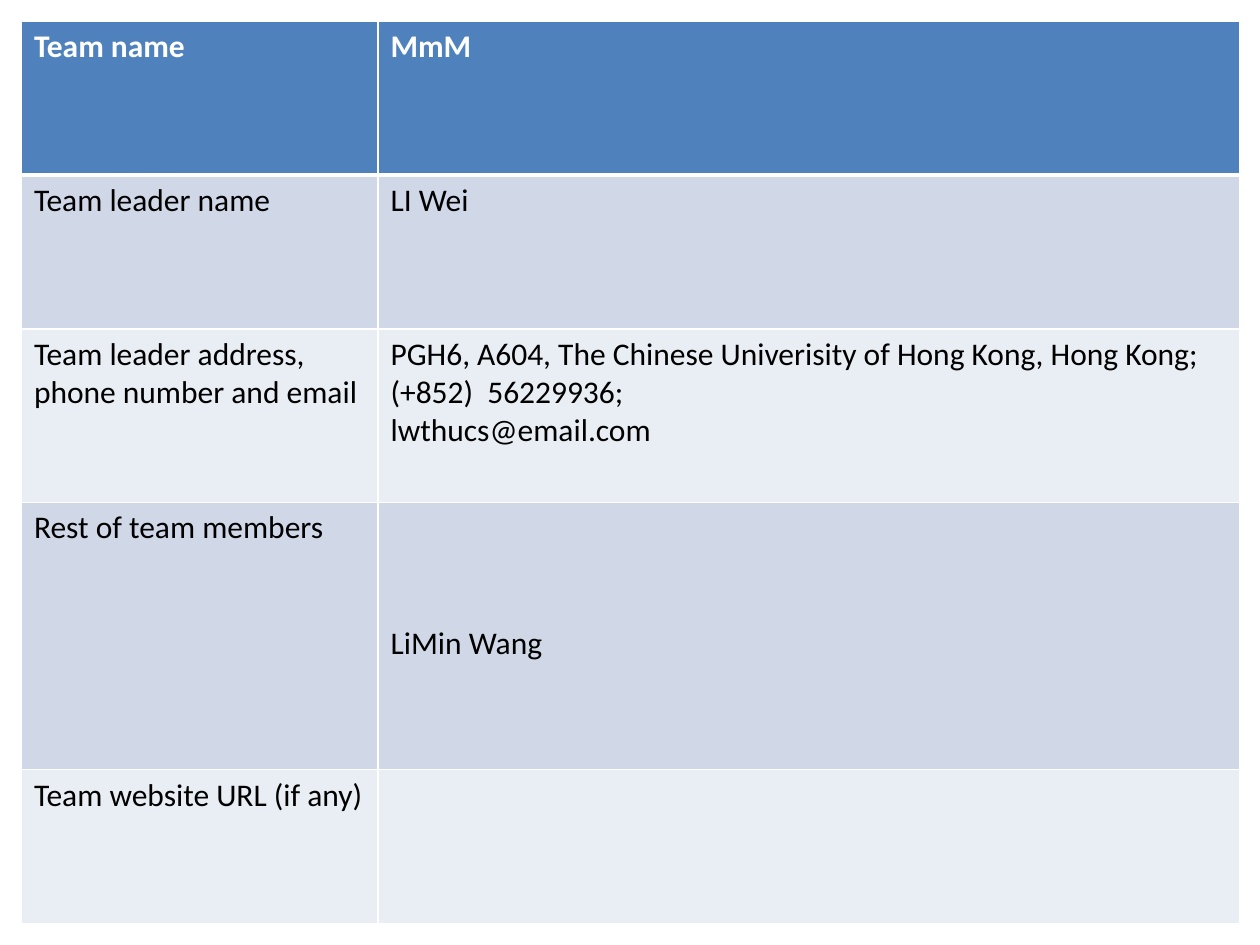
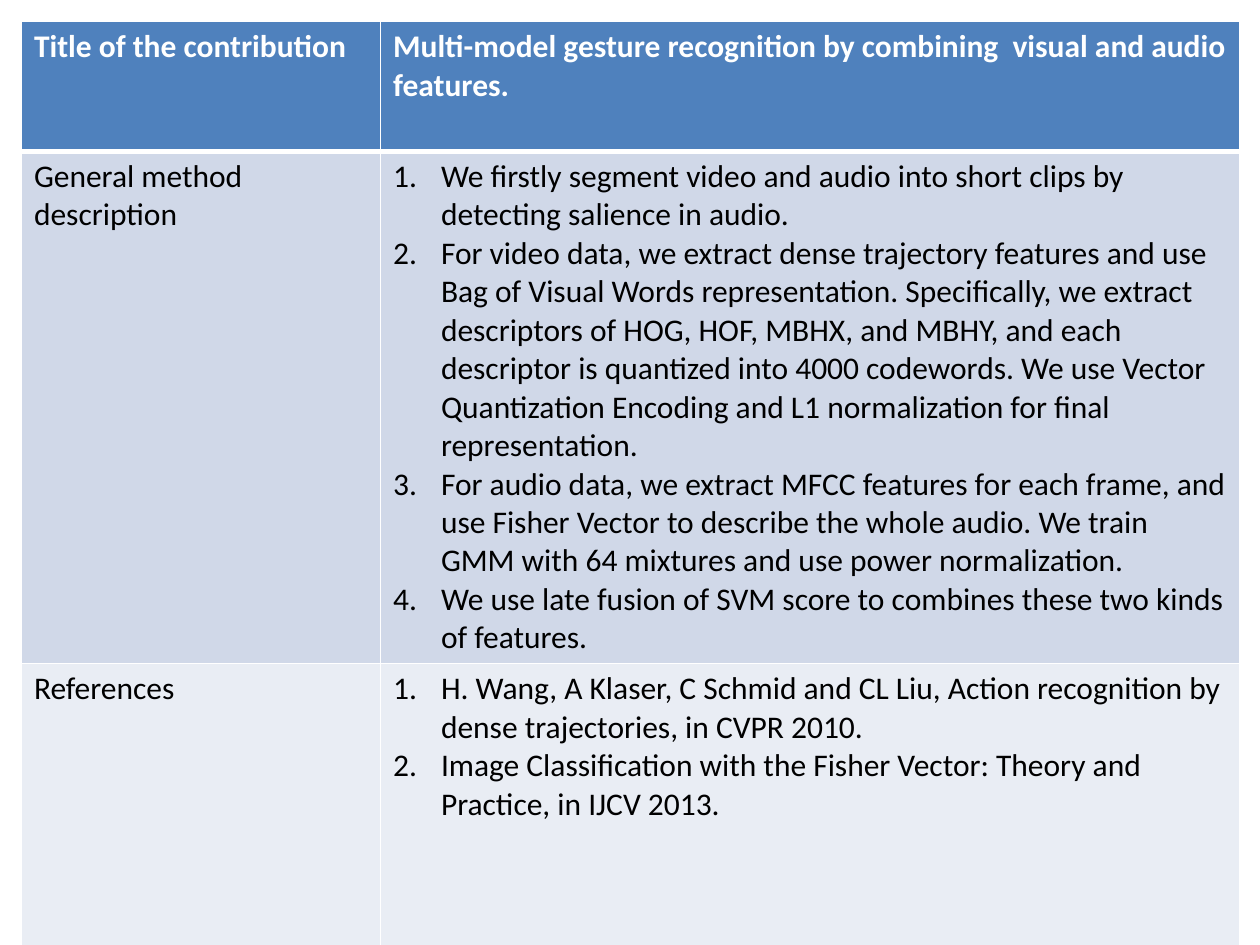
from lxml import etree
from pptx import Presentation
from pptx.dml.color import RGBColor
from pptx.oxml.ns import qn
from pptx.util import Inches, Pt

COLORS = {
    "header": "4F81BD",
    "odd_row": "D0D8E8",
    "even_row": "E9EDF4",
    "header_text": "FFFFFF",
    "body_text": "000000",
    "grid": "FFFFFF",
}
FONT = "Calibri"
TEXT_SIZE = 18
MARGIN = 0.17
TABLE_WIDTH = 9.67
NUMBER_INDENT = 0.38
MEMBERS_TOP = 0.97

TEAM = [
    ("Team name", ["MmM"]),
    ("Team leader name", ["LI Wei"]),
    ("Team leader address, phone number and email", [
        "PGH6, A604, The Chinese Univerisity of Hong Kong, Hong Kong;",
        "(+852)  56229936;",
        "lwthucs@email.com",
    ]),
    ("Rest of team members", ["LiMin Wang"]),
    ("Team website URL (if any)", []),
]

CONTRIBUTION = [
    ("Title of the contribution", [
        "Multi-model gesture recognition by combining  visual and audio features.",
    ]),
    ("General method description", [
        "We firstly segment video and audio into short clips by detecting "
        "salience in audio.",
        "For video data, we extract dense trajectory features and use Bag of "
        "Visual Words representation. Specifically, we extract descriptors of "
        "HOG, HOF, MBHX, and MBHY, and each descriptor is quantized into 4000 "
        "codewords. We use Vector Quantization Encoding and L1 normalization "
        "for final representation.",
        "For audio data, we extract MFCC features for each frame, and use "
        "Fisher Vector to describe the whole audio. We train GMM with 64 "
        "mixtures and use power normalization.",
        "We use late fusion of SVM score to combines these two kinds of features.",
    ]),
    ("References", [
        "H. Wang, A Klaser, C Schmid and CL Liu, Action recognition by dense "
        "trajectories, in CVPR 2010.",
        "Image Classification with the Fisher Vector: Theory and Practice, "
        "in IJCV 2013.",
    ]),
]


def set_borders(cell, top, bottom):
    """Draw white borders around a cell, with widths in points."""
    properties = cell._tc.get_or_add_tcPr()
    widths = {"a:lnL": 1, "a:lnR": 1, "a:lnT": top, "a:lnB": bottom}
    for position, (side, width) in enumerate(widths.items()):
        line = etree.Element(qn(side), w=str(Pt(width)))
        fill = etree.SubElement(line, qn("a:solidFill"))
        etree.SubElement(fill, qn("a:srgbClr"), val=COLORS["grid"])
        properties.insert(position, line)


def number_paragraph(paragraph):
    """Give a paragraph a hanging automatic number."""
    properties = paragraph._p.get_or_add_pPr()
    indent = Inches(NUMBER_INDENT)
    properties.set("marL", str(indent))
    properties.set("indent", str(-indent))
    etree.SubElement(properties, qn("a:buFont"), typeface="+mj-lt")
    etree.SubElement(properties, qn("a:buAutoNum"), type="arabicPeriod")


def write_lines(cell, lines, is_header, numbered=False):
    """Write one paragraph for each line of a cell."""
    frame = cell.text_frame
    for index, line in enumerate(lines):
        paragraph = frame.add_paragraph() if index else frame.paragraphs[0]
        if numbered:
            number_paragraph(paragraph)
        run = paragraph.add_run()
        run.text = line
        run.font.name = FONT
        run.font.size = Pt(TEXT_SIZE)
        run.font.bold = is_header
        color = COLORS["header_text" if is_header else "body_text"]
        run.font.color.rgb = RGBColor.from_string(color)


def row_color(row):
    """Return the band colour of a row."""
    if row == 0:
        return COLORS["header"]
    return COLORS["odd_row" if row % 2 else "even_row"]


def add_form(prs, entries, label_width, heights, frame_height, numbered=False):
    """Add a slide with a two-column form and return its table."""
    slide = prs.slides.add_slide(prs.slide_layouts[6])
    frame = slide.shapes.add_table(
        len(entries), 2, Inches(MARGIN), Inches(MARGIN),
        Inches(TABLE_WIDTH), Inches(frame_height))
    form = frame.table
    form.columns[0].width = Inches(label_width)
    form.columns[1].width = Inches(TABLE_WIDTH - label_width)
    for row, ((label, answer), height) in enumerate(zip(entries, heights)):
        form.rows[row].height = Inches(height)
        is_header = row == 0
        for column, lines in enumerate(([label], answer)):
            cell = form.cell(row, column)
            cell.fill.solid()
            cell.fill.fore_color.rgb = RGBColor.from_string(row_color(row))
            set_borders(cell, 3 if row == 1 else 1, 3 if is_header else 1)
            write_lines(cell, lines, is_header,
                        numbered and column == 1 and not is_header)
    frame.height = Inches(frame_height)
    return form


def main():
    """Build the team and contribution slides."""
    prs = Presentation()
    prs.slide_width = Inches(10)
    prs.slide_height = Inches(7.5)
    team = add_form(prs, TEAM, 2.83, [1.22, 1.22, 1.38, 2.12, 1.22], 7.17)
    team.cell(3, 1).margin_top = Inches(MEMBERS_TOP)
    add_form(prs, CONTRIBUTION, 2.85, [1.03, 3.78, 2.36], 7.39, numbered=True)
    prs.save("out.pptx")


main()
